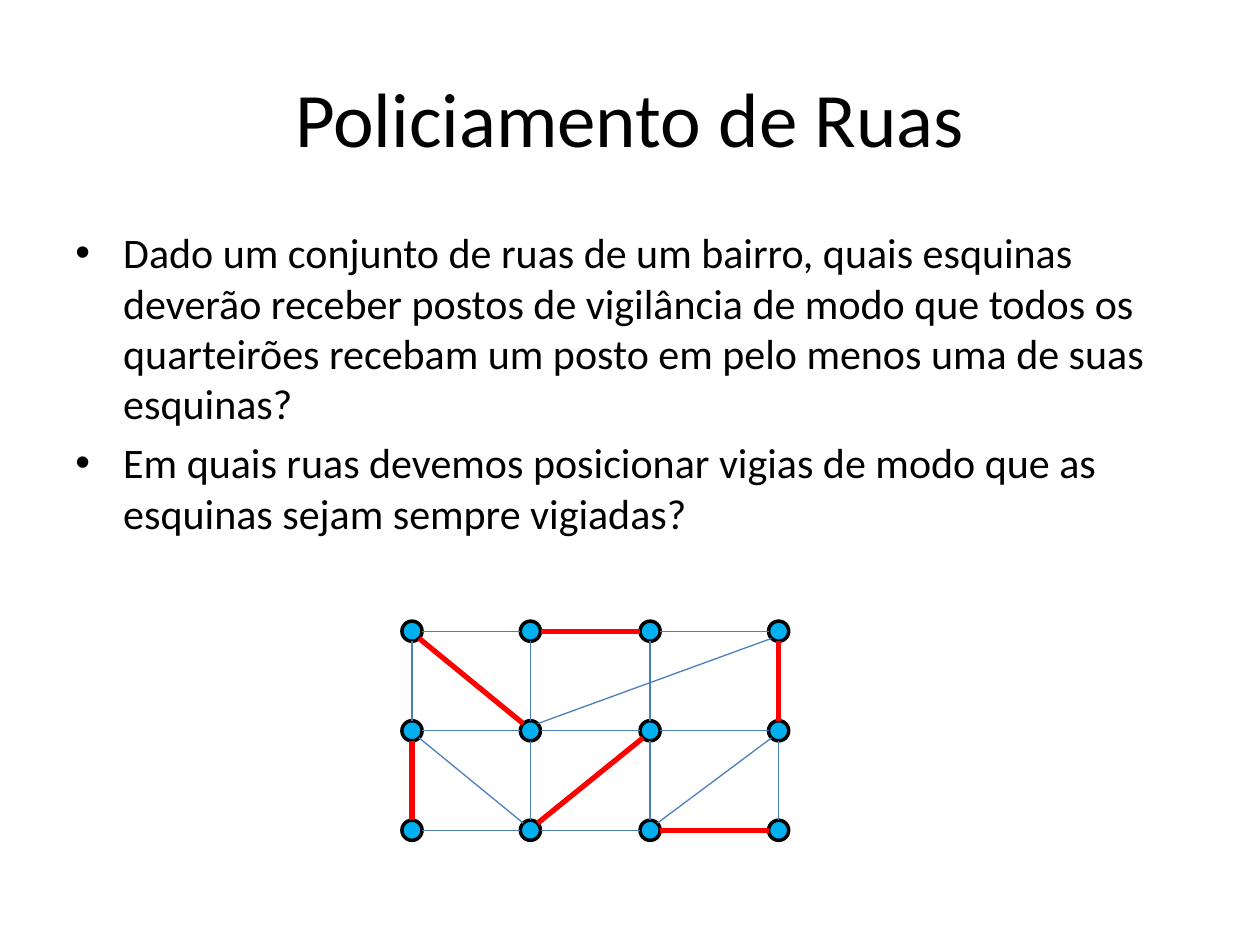
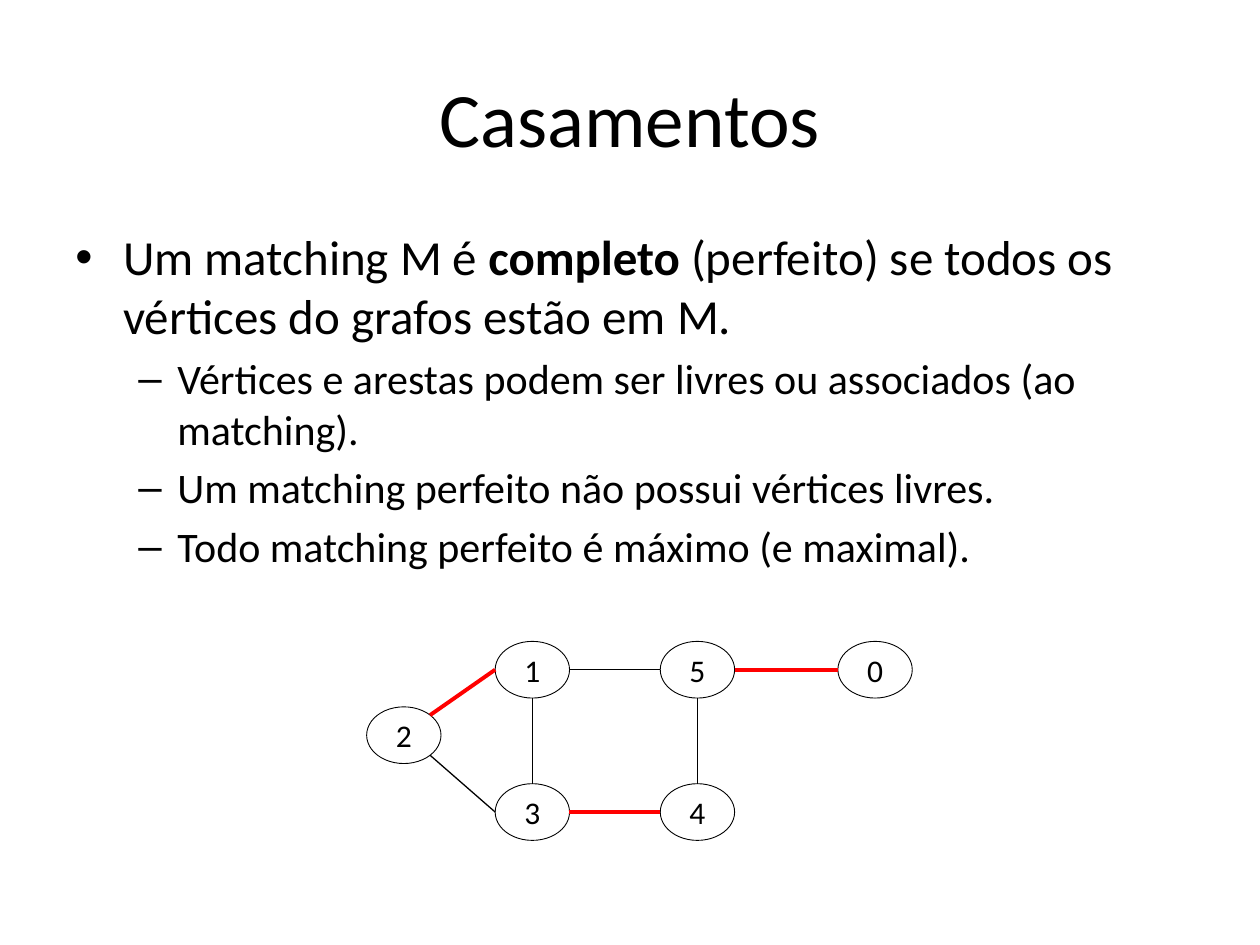
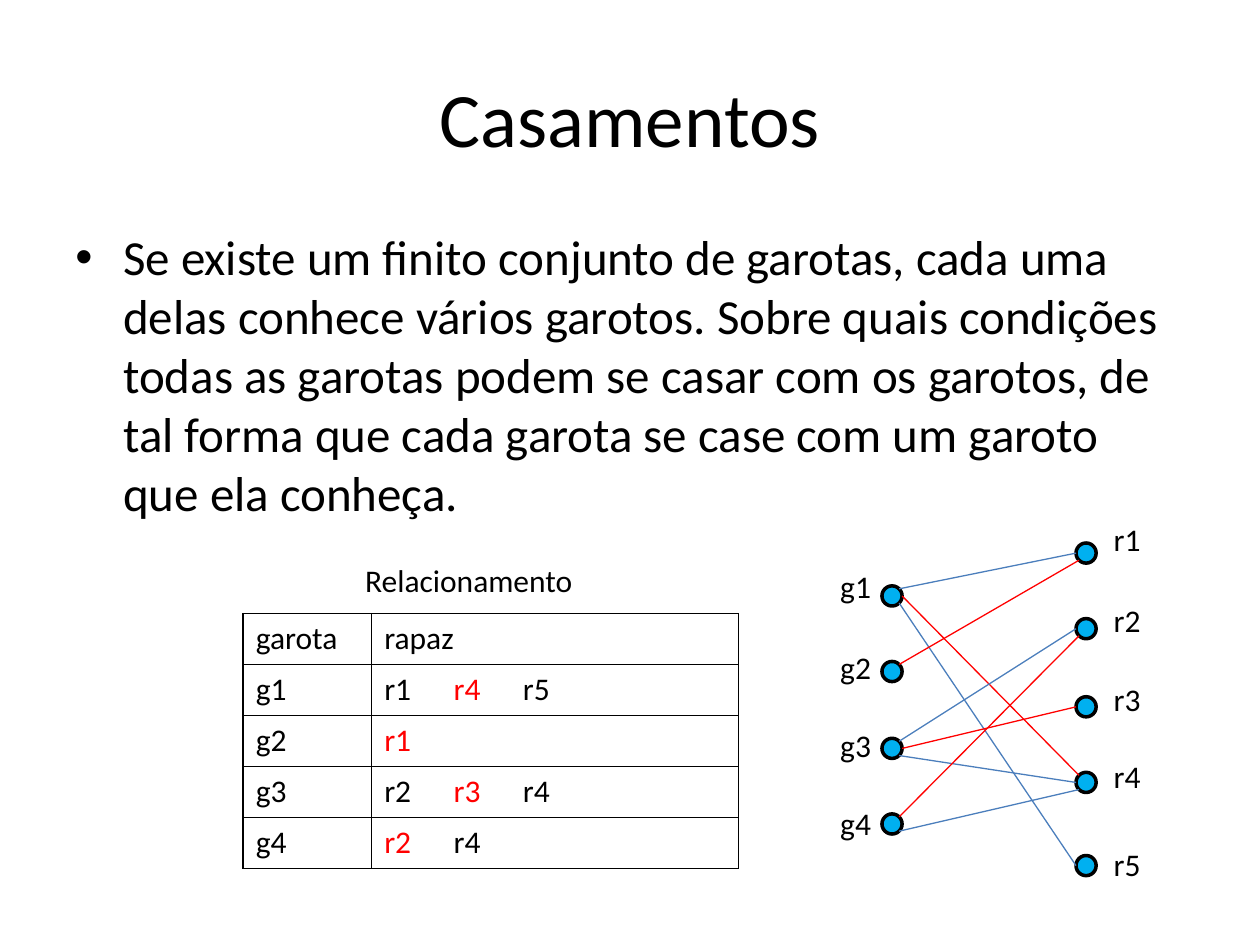
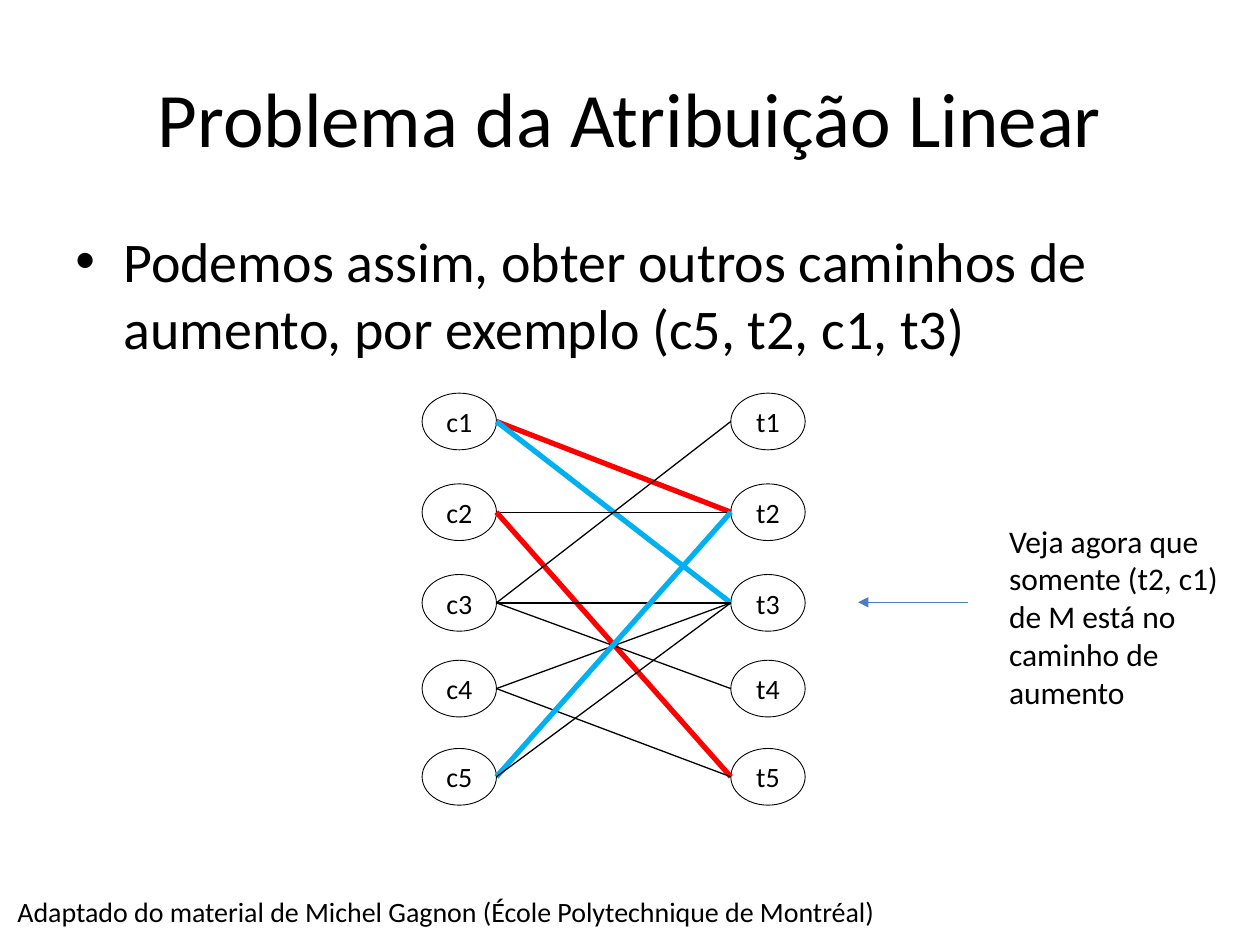
from math import cos, radians, sin

from lxml.etree import SubElement
from pptx import Presentation
from pptx.dml.color import RGBColor
from pptx.enum.shapes import MSO_CONNECTOR, MSO_SHAPE
from pptx.enum.text import MSO_ANCHOR, MSO_AUTO_SIZE, PP_ALIGN
from pptx.oxml.ns import qn
from pptx.util import Inches, Pt

FONT = "Calibri"
BLACK = RGBColor(0x00, 0x00, 0x00)
WHITE = RGBColor(0xFF, 0xFF, 0xFF)
RED = RGBColor(0xFF, 0x00, 0x00)
CYAN = RGBColor(0x00, 0xB0, 0xF0)
BLUE = RGBColor(0x4B, 0x7E, 0xBC)

TITLE_ONLY = 5
DOT_SIZE = 0.16
OVAL_WIDTH, OVAL_HEIGHT = 0.59, 0.45
THIN = 0.75

# Angle of each point on a node's outline, clockwise from the right
SITES = {"r": 0, "br": 45, "b": 90, "bl": 135, "l": 180, "tl": 225, "t": 270, "tr": 315}
# Bullet character, left indent and hanging indent of each level
LEVELS = [("•", 0.38, 0.38), ("–", 0.81, 0.31)]


def style_runs(paragraph, size, color=BLACK):
    for run in paragraph.runs:
        run.font.name = FONT
        run.font.size = Pt(size)
        run.font.color.rgb = color


def add_titled_slide(deck, heading):
    slide = deck.slides.add_slide(deck.slide_layouts[TITLE_ONLY])
    title = slide.shapes.title
    title.left, title.top = Inches(0.5), Inches(0.3)
    title.width, title.height = Inches(9), Inches(1.25)
    title.text_frame.text = heading
    title.text_frame.vertical_anchor = MSO_ANCHOR.MIDDLE
    title.text_frame.paragraphs[0].alignment = PP_ALIGN.CENTER
    style_runs(title.text_frame.paragraphs[0], 44)
    return slide


def set_bullet(paragraph, level):
    mark, indent, hanging = LEVELS[level]
    paragraph.level = level
    properties = paragraph._p.get_or_add_pPr()
    properties.set("marL", str(Inches(indent)))
    properties.set("indent", str(-Inches(hanging)))
    SubElement(properties, qn("a:buFont"), typeface="Arial")
    SubElement(properties, qn("a:buChar"), char=mark)


def add_bullets(slide, items, height=4.95):
    """Items are (level, size, text); text between asterisks is bold."""
    body = slide.shapes.add_textbox(Inches(0.5), Inches(1.75), Inches(9), Inches(height))
    frame = body.text_frame
    frame.word_wrap = True
    for number, (level, size, text) in enumerate(items):
        paragraph = frame.add_paragraph() if number else frame.paragraphs[0]
        set_bullet(paragraph, level)
        if number:
            paragraph.space_before = Pt(size * 0.2)
        for part, piece in enumerate(text.split("*")):
            run = paragraph.add_run()
            run.text = piece
            run.font.bold = part % 2 == 1
        style_runs(paragraph, size)


def add_label(slide, text, left, top, width, height=0.4, size=18, wrap=False):
    label = slide.shapes.add_textbox(Inches(left), Inches(top), Inches(width), Inches(height))
    frame = label.text_frame
    frame.word_wrap = wrap
    frame.auto_size = MSO_AUTO_SIZE.SHAPE_TO_FIT_TEXT
    frame.text = text
    style_runs(frame.paragraphs[0], size)


def add_ellipse(slide, left, top, width, height, fill, outline):
    ellipse = slide.shapes.add_shape(
        MSO_SHAPE.OVAL, Inches(left), Inches(top), Inches(width), Inches(height))
    ellipse.shadow.inherit = False
    ellipse.fill.solid()
    ellipse.fill.fore_color.rgb = fill
    ellipse.line.color.rgb = BLACK
    ellipse.line.width = Pt(outline)
    return ellipse


def add_dot(slide, left, top):
    return add_ellipse(slide, left, top, DOT_SIZE, DOT_SIZE, CYAN, 2)


def add_named_node(slide, name, left, top, size):
    node = add_ellipse(slide, left, top, OVAL_WIDTH, OVAL_HEIGHT, WHITE, 0.5)
    frame = node.text_frame
    frame.margin_left = frame.margin_right = frame.margin_top = frame.margin_bottom = 0
    frame.word_wrap = False
    frame.vertical_anchor = MSO_ANCHOR.MIDDLE
    frame.text = name
    frame.paragraphs[0].alignment = PP_ALIGN.CENTER
    style_runs(frame.paragraphs[0], size)
    return node


def add_line(slide, start, end, color, width):
    line = slide.shapes.add_connector(MSO_CONNECTOR.STRAIGHT, *start, *end)
    line.line.color.rgb = color
    line.line.width = Pt(width)
    SubElement(line._element.spPr, qn("a:effectLst"))
    return line


def add_arrow(slide, start, end, color, width):
    arrow = add_line(slide, start, end, color, width)
    SubElement(arrow.line._get_or_add_ln(), qn("a:tailEnd"), type="triangle")


def outline_point(node, site):
    angle = radians(SITES[site])
    return (round(node.left + node.width / 2 * (1 + cos(angle))),
            round(node.top + node.height / 2 * (1 + sin(angle))))


def add_edge(slide, start, start_site, end, end_site, color=BLACK, width=THIN):
    add_line(slide, outline_point(start, start_site), outline_point(end, end_site), color, width)


def format_cell(cell):
    properties = cell._tc.get_or_add_tcPr()
    for side in ("a:lnL", "a:lnR", "a:lnT", "a:lnB"):
        border = SubElement(properties, qn(side), w=str(Pt(1)))
        fill = SubElement(border, qn("a:solidFill"))
        SubElement(fill, qn("a:srgbClr"), val=str(BLACK))
    cell.fill.background()


def write_names(cell, names, chosen):
    """Write the names on tab stops, with the chosen one in red."""
    paragraph = cell.text_frame.paragraphs[0]
    tabs = SubElement(paragraph._p.get_or_add_pPr(), qn("a:tabLst"))
    for stop in (0.55, 1.1):
        SubElement(tabs, qn("a:tab"), pos=str(Inches(stop)), algn="l")
    for number, name in enumerate(names):
        run = paragraph.add_run()
        run.text = "\t" + name if number else name
    style_runs(paragraph, 18)
    for run, name in zip(paragraph.runs, names):
        if name == chosen:
            run.font.color.rgb = RED


def add_acquaintance_table(slide, acquaintances, couples):
    rows = len(acquaintances) + 1
    table = slide.shapes.add_table(
        rows, 2, Inches(1.93), Inches(4.87), Inches(3.93), Inches(0.41 * rows)).table
    table.first_row = table.horz_banding = False
    table.columns[0].width, table.columns[1].width = Inches(1.02), Inches(2.91)
    for row in table.rows:
        row.height = Inches(0.405)
        for cell in row.cells:
            format_cell(cell)
    for column, heading in enumerate(("garota", "rapaz")):
        write_names(table.cell(0, column), [heading], None)
    for row, (girl, boys) in enumerate(acquaintances.items(), start=1):
        write_names(table.cell(row, 0), [girl], None)
        write_names(table.cell(row, 1), boys, couples[girl])


def add_streets_slide(deck):
    slide = add_titled_slide(deck, "Policiamento de Ruas")
    add_bullets(slide, [
        (0, 24, "Dado um conjunto de ruas de um bairro, quais esquinas deverão receber postos de "
                "vigilância de modo que todos os quarteirões recebam um posto em pelo menos uma "
                "de suas esquinas?"),
        (0, 24, "Em quais ruas devemos posicionar vigias de modo que as esquinas sejam sempre "
                "vigiadas?"),
    ])
    corners = {(row, column): add_dot(slide, left, 4.93 + 0.79 * row)
               for row in range(3)
               for column, left in enumerate((3.19, 4.13, 5.08, 6.1))}
    streets = []
    for row, column in corners:
        streets.append(((row, column), "r", (row, column + 1), "l"))
        streets.append(((row, column), "b", (row + 1, column), "t"))
    streets += [
        ((0, 0), "br", (1, 1), "tl"),
        ((1, 0), "br", (2, 1), "tl"),
        ((2, 1), "tr", (1, 2), "bl"),
        ((1, 1), "tr", (0, 3), "bl"),
        ((2, 2), "tr", (1, 3), "bl"),
    ]
    guarded = {((0, 1), (0, 2)), ((1, 0), (2, 0)), ((2, 2), (2, 3)),
               ((0, 3), (1, 3)), ((0, 0), (1, 1)), ((2, 1), (1, 2))}
    for start, start_site, end, end_site in streets:
        if end in corners:
            color, width = (RED, 3) if (start, end) in guarded else (BLUE, THIN)
            add_edge(slide, corners[start], start_site, corners[end], end_site, color, width)


def add_perfect_matching_slide(deck):
    slide = add_titled_slide(deck, "Casamentos")
    add_bullets(slide, [
        (0, 28, "Um matching M é *completo* (perfeito) se todos os vértices do grafos estão em M."),
        (1, 24, "Vértices e arestas podem ser livres ou associados (ao matching)."),
        (1, 24, "Um matching perfeito não possui vértices livres."),
        (1, 24, "Todo matching perfeito é máximo (e maximal)."),
    ])
    places = {"1": (3.93, 5.09), "0": (6.65, 5.09), "3": (3.93, 6.22),
              "2": (2.91, 5.61), "4": (5.24, 6.22), "5": (5.24, 5.09)}
    vertices = {name: add_named_node(slide, name, left, top, 18)
                for name, (left, top) in places.items()}
    matched = [("3", "r", "4", "l"), ("1", "l", "2", "tr"), ("5", "r", "0", "l")]
    free = [("1", "r", "5", "l"), ("1", "b", "3", "t"), ("5", "b", "4", "t"),
            ("3", "l", "2", "br")]
    for edges, color, width in ((matched, RED, 2.25), (free, BLACK, THIN)):
        for start, start_site, end, end_site in edges:
            add_edge(slide, vertices[start], start_site, vertices[end], end_site, color, width)


def add_couples_slide(deck):
    slide = add_titled_slide(deck, "Casamentos")
    add_bullets(slide, [
        (0, 28, "Se existe um finito conjunto de garotas, cada uma delas conhece vários garotos. "
                "Sobre quais condições todas as garotas podem se casar com os garotos, de tal "
                "forma que cada garota se case com um garoto que ela conheça."),
    ])
    acquaintances = {"g1": ["r1", "r4", "r5"], "g2": ["r1"],
                     "g3": ["r2", "r3", "r4"], "g4": ["r2", "r4"]}
    couples = {"g1": "r4", "g2": "r1", "g3": "r3", "g4": "r2"}
    add_acquaintance_table(slide, acquaintances, couples)
    add_label(slide, "Relacionamento", 2.8, 4.4, 1.87)

    people = {}
    # Each side: initial, dot left, label left, label width, (dot top, label top) pairs
    sides = [
        ("g", 7, 6.57, 0.45, [(4.65, 4.45), (5.25, 5.09), (5.86, 5.71), (6.46, 6.33)]),
        ("r", 8.54, 8.74, 0.42,
         [(4.31, 4.08), (4.91, 4.72), (5.53, 5.35), (6.13, 5.96), (6.79, 6.66)]),
    ]
    for initial, dot_left, label_left, label_width, tops in sides:
        for number, (dot_top, label_top) in enumerate(tops, start=1):
            name = f"{initial}{number}"
            people[name] = add_dot(slide, dot_left, dot_top)
            add_label(slide, name, label_left, label_top, label_width)

    sites = {("g1", "r1"): ("tr", "l"), ("g1", "r4"): ("r", "tl"), ("g1", "r5"): ("br", "l"),
             ("g2", "r1"): ("tr", "bl"), ("g3", "r2"): ("tr", "l"), ("g3", "r3"): ("r", "l"),
             ("g3", "r4"): ("br", "l"), ("g4", "r2"): ("tr", "bl"), ("g4", "r4"): ("br", "bl")}
    for (girl, boy), (girl_site, boy_site) in sites.items():
        color = RED if couples[girl] == boy else BLUE
        add_edge(slide, people[girl], girl_site, people[boy], boy_site, color)


def add_assignment_slide(deck):
    slide = add_titled_slide(deck, "Problema da Atribuição Linear")
    add_bullets(slide, [
        (0, 32, "Podemos assim, obter outros caminhos de aumento, por exemplo (c5, t2, c1, t3)"),
    ], height=1.13)
    nodes = {}
    for initial, left in (("c", 3.35), ("t", 5.8)):
        for number, top in enumerate((3.12, 3.84, 4.56, 5.24, 5.94), start=1):
            name = f"{initial}{number}"
            nodes[name] = add_named_node(slide, name, left, top, 16)
    links = {"c1": ["t2", "t3"], "c2": ["t2", "t5"], "c3": ["t1", "t3", "t4"],
             "c4": ["t3", "t5"], "c5": ["t2", "t3"]}
    highlights = {("c1", "t2"): RED, ("c2", "t5"): RED, ("c1", "t3"): CYAN, ("c5", "t2"): CYAN}
    for start, ends in links.items():
        for end in ends:
            color = highlights.get((start, end), BLACK)
            width = 3 if (start, end) in highlights else THIN
            add_edge(slide, nodes[start], "r", nodes[end], "l", color, width)

    add_arrow(slide, (Inches(7.68), Inches(4.78)), (Inches(6.81), Inches(4.78)), BLUE, THIN)
    add_label(slide, "Veja agora que somente (t2, c1) de M está no caminho de aumento",
              7.91, 4.09, 1.89, 1.62, wrap=True)
    add_label(slide, "Adaptado do material de Michel Gagnon (École Polytechnique de Montréal)",
              0.04, 7.05, 7.1, 0.37, size=16)


def main():
    deck = Presentation()
    deck.slide_width, deck.slide_height = Inches(10), Inches(7.5)
    add_streets_slide(deck)
    add_perfect_matching_slide(deck)
    add_couples_slide(deck)
    add_assignment_slide(deck)
    deck.save("out.pptx")


if __name__ == "__main__":
    main()
